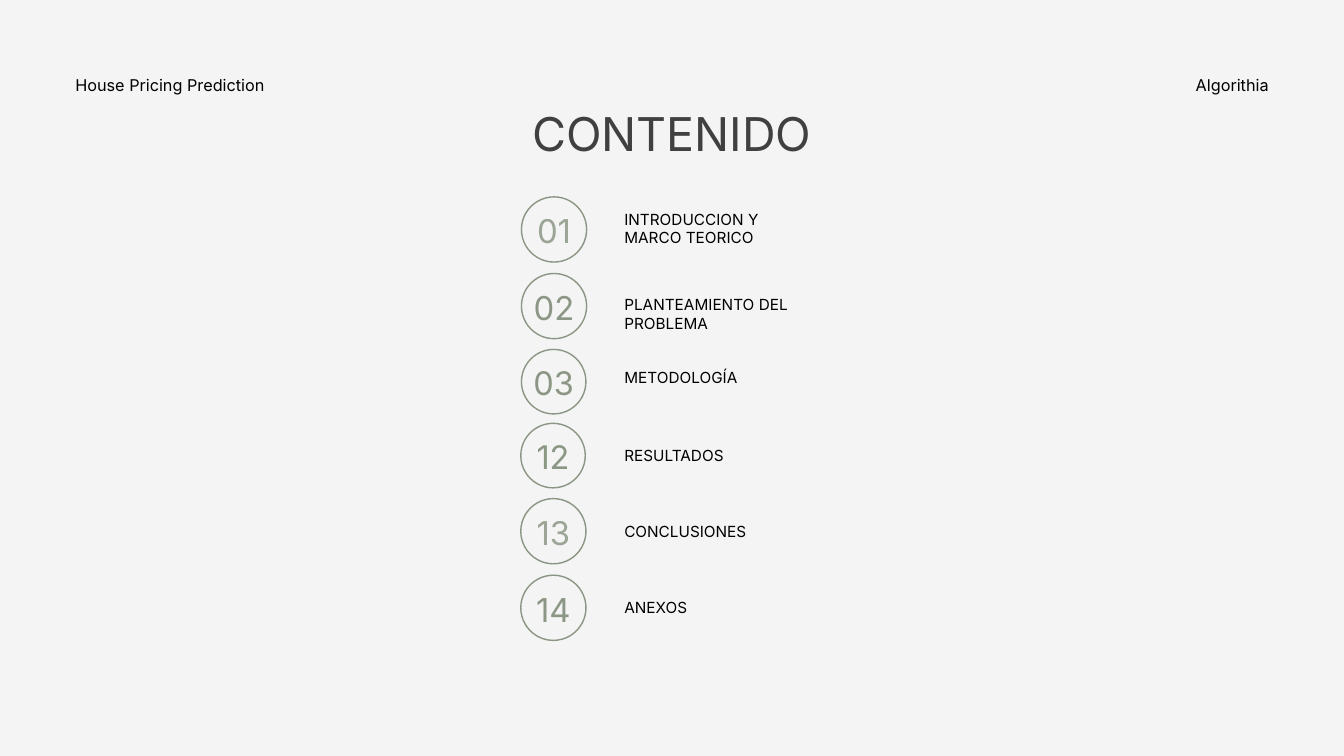
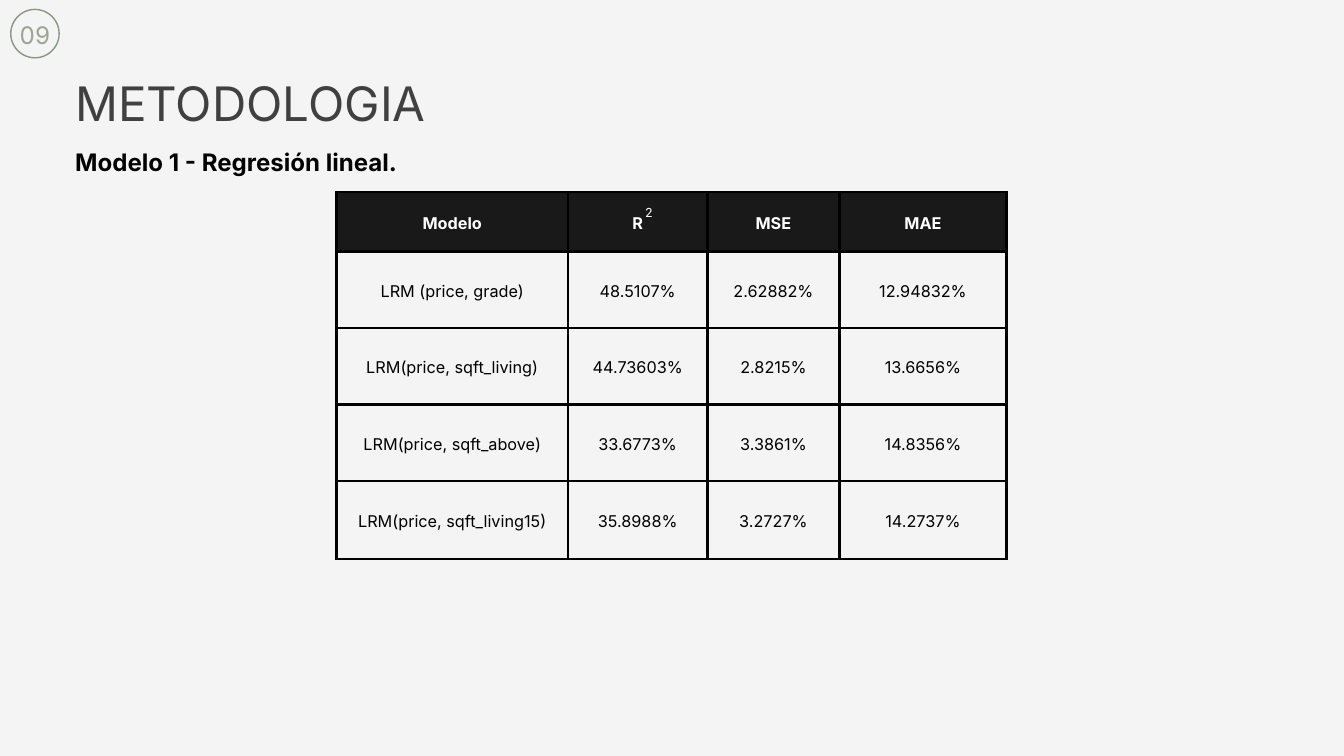
from dataclasses import dataclass

from lxml.etree import SubElement
from pptx import Presentation
from pptx.dml.color import RGBColor
from pptx.enum.shapes import MSO_SHAPE as Preset
from pptx.enum.text import MSO_ANCHOR as Anchor, MSO_AUTO_SIZE as AutoSize, PP_ALIGN as Align
from pptx.oxml.ns import qn
from pptx.util import Emu, Pt

PX = 9144
FONT = "Inter"
COLORS = {
    "background": "F4F4F4",
    "title": "404040",
    "text": "000000",
    "sage": "8B9684",
    "header": "191919",
    "white": "FFFFFF",
}
TEXT_LEADING = 1.22
NUMBER_LEADING = 1.4
TITLE_ONLY = 5


@dataclass
class Box:
    left: int
    top: int
    width: int
    height: int


@dataclass
class Style:
    size: float
    color: str = "text"
    bold: bool = False
    align: Align = Align.LEFT
    leading: float = TEXT_LEADING
    opacity: int = 100


@dataclass
class Badge:
    number: str
    circle: Box
    text: Box
    size: float
    opacity: int = 100


@dataclass
class Section:
    number: str
    label: str
    circle_left: int
    circle_top: int
    diameter: int
    label_top: int
    label_width: int = 296
    label_height: int = 29
    number_size: float = 35.2
    opacity: int = 100


HEADING = Style(17.4)
HEADING_RIGHT = Style(17.4, align=Align.RIGHT)
LABEL = Style(16.4)
SUBTITLE = Style(25.8, bold=True)
EXPONENT = Style(13.4, "white", align=Align.CENTER)
TABLE_HEADER = Style(17.4, "white", True, Align.CENTER, NUMBER_LEADING)
TABLE_BODY = Style(17.4, "text", False, Align.CENTER, NUMBER_LEADING)

SECTIONS = [
    Section("01", "INTRODUCCION Y MARCO TEORICO", 776, 293, 97, 312, 252, 57, opacity=83),
    Section("02", "PLANTEAMIENTO DEL PROBLEMA", 776, 407, 97, 439, label_height=57),
    Section("03", "METODOLOGÍA", 776, 520, 96, 548, number_size=34.8),
    Section("12", "RESULTADOS", 775, 630, 96, 663, number_size=34.8),
    Section("13", "CONCLUSIONES", 775, 742, 97, 777, opacity=83),
    Section("14", "ANEXOS", 775, 856, 97, 890),
]

MODEL_ROWS = [
    ("Modelo", "R", "MSE", "MAE"),
    ("LRM (price, grade)", "48.5107%", "2.62882%", "12.94832%"),
    ("LRM(price, sqft_living)", "44.73603%", "2.8215%", "13.6656%"),
    ("LRM(price, sqft_above)", "33.6773%", "3.3861%", "14.8356%"),
    ("LRM(price, sqft_living15)", "35.8988%", "3.2727%", "14.2737%"),
]
COLUMN_WIDTHS = [344, 208, 196, 249]
ROW_HEIGHTS = [88, 114, 114, 114, 116]
CELL_MARGIN = 21
BORDER_WIDTH = 3


def px(value: int) -> Emu:
    return Emu(value * PX)


def rgb(name: str) -> RGBColor:
    return RGBColor.from_string(COLORS[name])


def place(box: Box) -> tuple:
    return px(box.left), px(box.top), px(box.width), px(box.height)


def write(text_frame, text: str, style: Style) -> None:
    text_frame.text = text
    paragraph = text_frame.paragraphs[0]
    paragraph.alignment = style.align
    paragraph.line_spacing = Pt(round(style.size * style.leading, 1))
    for run in paragraph.runs:
        run.font.name = FONT
        run.font.size = Pt(style.size)
        run.font.bold = style.bold
        run.font.color.rgb = rgb(style.color)
        if style.opacity < 100:
            color = run.font.fill._xPr.find(f".//{qn('a:srgbClr')}")
            SubElement(color, qn("a:alpha"), val=str(style.opacity * 1000))


def fill_frame(shape, text: str, style: Style) -> None:
    frame = shape.text_frame
    frame.margin_left = frame.margin_right = frame.margin_top = frame.margin_bottom = 0
    frame.word_wrap = True
    frame.auto_size = AutoSize.SHAPE_TO_FIT_TEXT
    frame.vertical_anchor = Anchor.TOP
    write(frame, text, style)


def add_text(slide, box: Box, text: str, style: Style) -> None:
    fill_frame(slide.shapes.add_textbox(*place(box)), text, style)


def set_title(slide, box: Box, text: str, size: float, align: Align) -> None:
    title = slide.shapes.title
    title.left, title.top, title.width, title.height = place(box)
    fill_frame(title, text, Style(size, "title", align=align))


def add_badge(slide, badge: Badge) -> None:
    circle = slide.shapes.add_shape(Preset.OVAL, *place(badge.circle))
    circle.shadow.inherit = False
    circle.fill.background()
    circle.line.color.rgb = rgb("sage")
    circle.line.width = Pt(1.5)
    style = Style(badge.size, "sage", False, Align.CENTER, NUMBER_LEADING, badge.opacity)
    add_text(slide, badge.text, badge.number, style)


def add_section(slide, section: Section) -> None:
    left, top, diameter = section.circle_left, section.circle_top, section.diameter
    circle = Box(left, top, diameter, diameter)
    number = Box(left, top + 11, diameter, 67)
    add_badge(slide, Badge(section.number, circle, number, section.number_size, section.opacity))
    label = Box(929, section.label_top, section.label_width, section.label_height)
    add_text(slide, label, section.label, LABEL)


def add_borders(cell) -> None:
    properties = cell._tc.get_or_add_tcPr()
    for side in ("lnL", "lnR", "lnT", "lnB"):
        line = SubElement(properties, qn(f"a:{side}"), w=str(Pt(BORDER_WIDTH)))
        fill = SubElement(line, qn("a:solidFill"))
        SubElement(fill, qn("a:srgbClr"), val=COLORS["text"])


def format_cell(cell, text: str, is_header: bool) -> None:
    cell.margin_left = cell.margin_right = px(CELL_MARGIN)
    cell.margin_top = cell.margin_bottom = px(CELL_MARGIN)
    cell.vertical_anchor = Anchor.MIDDLE
    add_borders(cell)
    if is_header:
        cell.fill.solid()
        cell.fill.fore_color.rgb = rgb("header")
    else:
        cell.fill.background()
    write(cell.text_frame, text, TABLE_HEADER if is_header else TABLE_BODY)


def add_model_table(slide, left: int, top: int) -> None:
    box = Box(left, top, sum(COLUMN_WIDTHS), sum(ROW_HEIGHTS))
    table = slide.shapes.add_table(len(ROW_HEIGHTS), len(COLUMN_WIDTHS), *place(box)).table
    table.first_row = table.horz_banding = False
    for column, width in zip(table.columns, COLUMN_WIDTHS):
        column.width = px(width)
    for row, height in zip(table.rows, ROW_HEIGHTS):
        row.height = px(height)
    for row_index, values in enumerate(MODEL_ROWS):
        for column_index, value in enumerate(values):
            format_cell(table.cell(row_index, column_index), value, row_index == 0)


def build_contents(slide) -> None:
    set_title(slide, Box(551, 154, 898, 84), "CONTENIDO", 49.9, Align.CENTER)
    add_text(slide, Box(112, 112, 291, 29), "House Pricing Prediction", HEADING)
    add_text(slide, Box(1613, 111, 275, 30), "Algorithia", HEADING_RIGHT)
    for section in SECTIONS:
        add_section(slide, section)


def build_methodology(slide) -> None:
    set_title(slide, Box(112, 108, 1280, 87), "METODOLOGIA", 50.9, Align.LEFT)
    add_text(slide, Box(112, 218, 800, 44), "Modelo 1 - Regresión lineal.", SUBTITLE)
    add_badge(slide, Badge("09", Box(16, 14, 72, 72), Box(22, 23, 60, 48), 26, 83))
    add_model_table(slide, 501, 286)
    add_text(slide, Box(960, 305, 11, 23), "2", EXPONENT)


def main() -> None:
    presentation = Presentation()
    presentation.slide_width, presentation.slide_height = px(2000), px(1125)
    background = presentation.slide_master.background.fill
    background.solid()
    background.fore_color.rgb = rgb("background")
    layout = presentation.slide_layouts[TITLE_ONLY]
    for build in (build_contents, build_methodology):
        build(presentation.slides.add_slide(layout))
    presentation.save("out.pptx")


if __name__ == "__main__":
    main()
